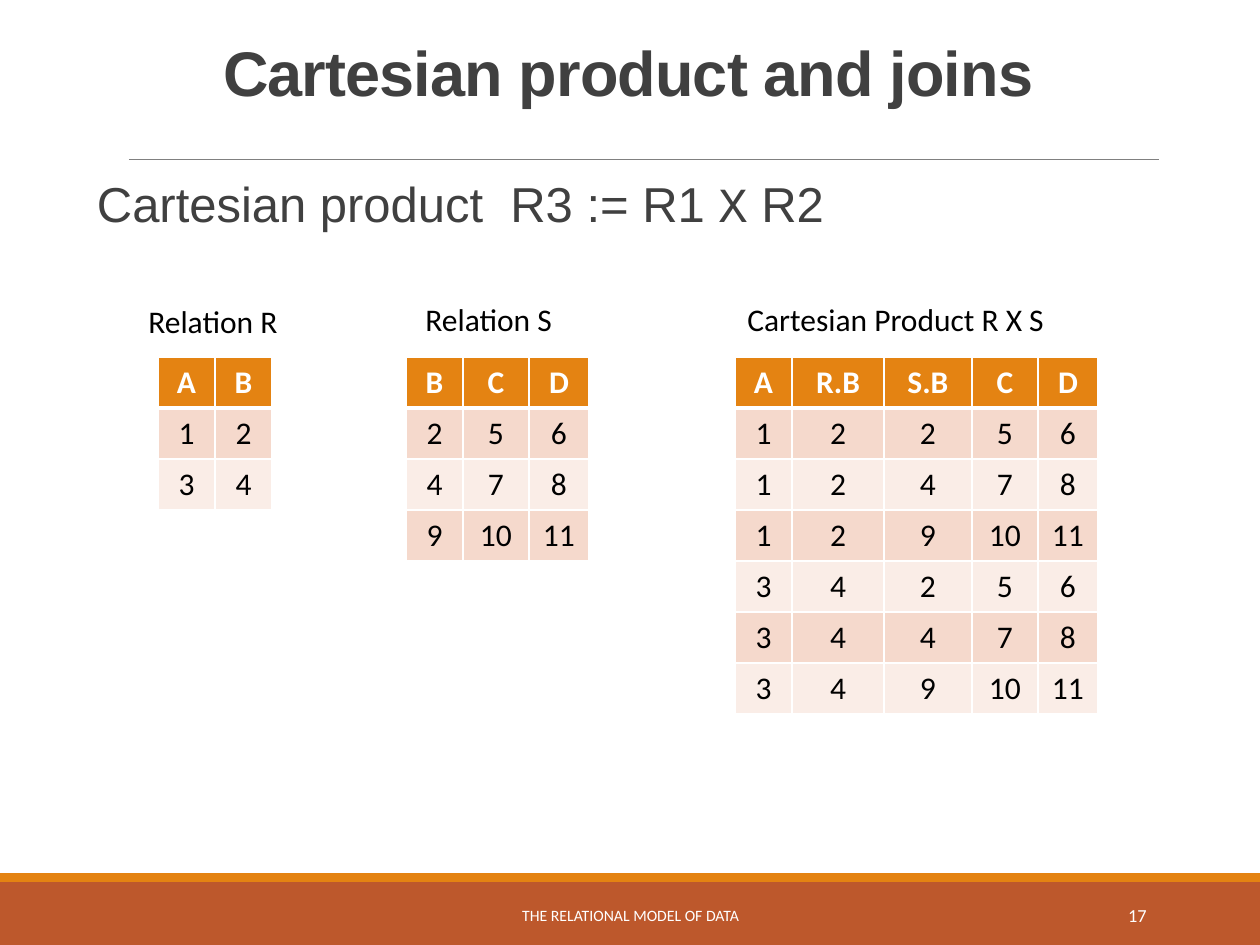
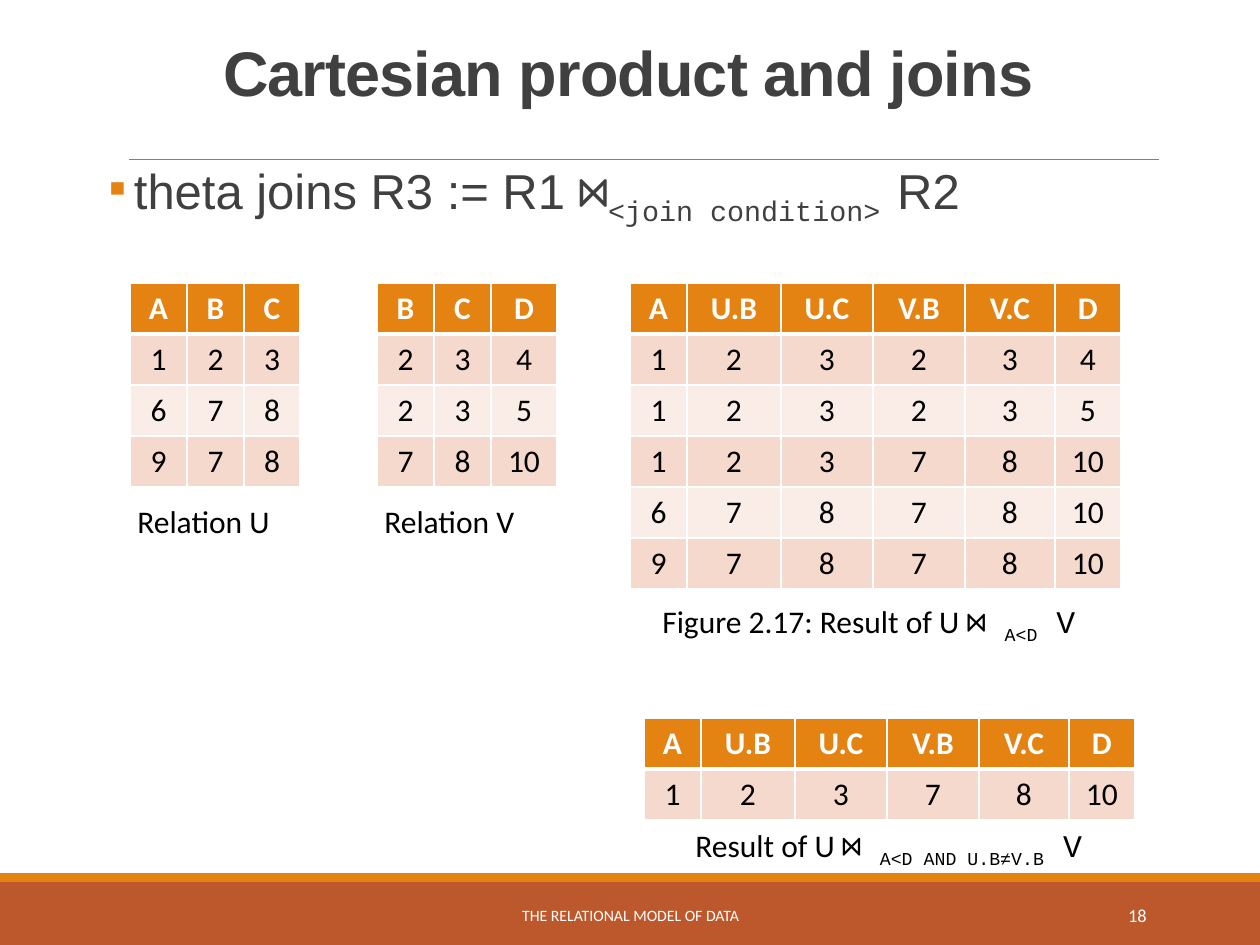
from lxml.etree import SubElement
from pptx import Presentation
from pptx.dml.color import RGBColor
from pptx.enum.shapes import MSO_CONNECTOR, MSO_SHAPE
from pptx.enum.text import MSO_ANCHOR, MSO_AUTO_SIZE, PP_ALIGN
from pptx.oxml.ns import qn
from pptx.util import Emu, Pt

SCALE = 914400 / 126
SLIDE_WIDTH, SLIDE_HEIGHT = 1260, 945
ROW_HEIGHT = 51

ORANGE, RUST, GRAY = "E48312", "BD582C", "808080"
DARK, BLACK, WHITE = "404040", "000000", "FFFFFF"
ROW_FILLS = ("F5D9CC", "FAEDE7")
SANS, BODY, MONO = "Arial", "Calibri", "Courier New"
SUBSCRIPT = -25000

TITLE = "Cartesian product and joins"
FOOTER = "THE RELATIONAL MODEL OF DATA"
JOIN_HEADER = "A U.B U.C V.B V.C D"
JOIN_COLUMNS = (57, 94, 92, 92, 90, 66)

SLIDES = [
    {
        "number": "17",
        "heading": {
            "box": (84, 179, 1094, 66),
            "runs": [("Cartesian product  R3 := R1 ", SANS), ("Χ", MONO), (" R2", SANS)],
            "spacing": (0.8, 12, 2),
            "indent": (13, 0),
            "bullet": None,
        },
        "tables": [
            ((158, 357), (57, 57), ["A B", "1 2", "3 4"]),
            ((406, 357), (57, 66, 60), ["B C D", "2 5 6", "4 7 8", "9 10 11"]),
            ((735, 357), (57, 92, 88, 66, 60),
             ["A R.B S.B C D", "1 2 2 5 6", "1 2 4 7 8", "1 2 9 10 11",
              "3 4 2 5 6", "3 4 4 7 8", "3 4 9 10 11"]),
        ],
        "captions": [
            ((136, 296, 175, 51), [("Relation R", BODY)]),
            ((413, 294, 170, 51), [("Relation S", BODY)]),
            ((735, 294, 364, 51), [("Cartesian Product R X S", BODY)]),
        ],
    },
    {
        "number": "18",
        "heading": {
            "box": (81, 155, 1094, 135),
            "runs": [("theta joins R3 := R1 ", SANS), ("⋈", MONO),
                     ("<join condition> ", MONO, SUBSCRIPT), ("R2", SANS)],
            "spacing": (0.9, 2, 4),
            "indent": (53, -25),
            "bullet": "▪",
        },
        "tables": [
            ((130, 283), (57, 57, 56), ["A B C", "1 2 3", "6 7 8", "9 7 8"]),
            ((377, 283), (57, 57, 66), ["B C D", "2 3 4", "2 3 5", "7 8 10"]),
            ((630, 283), JOIN_COLUMNS,
             [JOIN_HEADER, "1 2 3 2 3 4", "1 2 3 2 3 5", "1 2 3 7 8 10",
              "6 7 8 7 8 10", "9 7 8 7 8 10"]),
            ((644, 718), JOIN_COLUMNS, [JOIN_HEADER, "1 2 3 7 8 10"]),
        ],
        "captions": [
            ((125, 496, 176, 51), [("Relation U", BODY)]),
            ((372, 496, 174, 51), [("Relation V", BODY)]),
            ((650, 596, 451, 51),
             [("Figure 2.17: Result of U ", BODY), ("⋈ ", MONO),
              ("A<D", MONO, SUBSCRIPT), (" V", MONO)]),
            ((683, 820, 432, 51),
             [("Result of U ", BODY), ("⋈ ", MONO),
              ("A<D AND U.B≠V.B", MONO, SUBSCRIPT), (" V", MONO)]),
        ],
    },
]


def px(length):
    return Emu(round(length * SCALE))


def color(value):
    return RGBColor.from_string(value)


def format_run(run, font, size, text_color, bold=False):
    run.font.name = font
    run.font.size = Pt(size)
    run.font.bold = bold
    run.font.color.rgb = color(text_color)


def add_text(slide, box, runs, size, text_color, align=PP_ALIGN.LEFT, bold=False):
    shape = slide.shapes.add_textbox(*map(px, box))
    shape.text_frame.word_wrap = True
    paragraph = shape.text_frame.paragraphs[0]
    paragraph.alignment = align
    for text, font, *baseline in runs:
        run = paragraph.add_run()
        run.text = text
        format_run(run, font, size, text_color, bold)
        if baseline:
            run.font._element.set("baseline", str(baseline[0]))
    return shape


def add_band(slide, top, height, fill):
    band = slide.shapes.add_shape(
        MSO_SHAPE.RECTANGLE, 0, px(top), px(SLIDE_WIDTH), px(height))
    band.shadow.inherit = False
    band.fill.solid()
    band.fill.fore_color.rgb = color(fill)
    band.line.fill.background()


def add_frame(slide, number):
    add_band(slide, 882, 63, RUST)
    add_band(slide, 873, 9, ORANGE)
    rule = slide.shapes.add_connector(
        MSO_CONNECTOR.STRAIGHT, px(129), px(159), px(1159), px(159))
    rule.line.color.rgb = color(GRAY)
    rule.line.width = Pt(0.5)
    SubElement(rule._element.spPr, qn("a:effectLst"))

    title = add_text(slide, (81, 39, 1094, 116), [(TITLE, SANS)], 36, DARK,
                     PP_ALIGN.CENTER, True)
    paragraph = title.text_frame.paragraphs[0]
    paragraph.line_spacing = 0.85
    paragraph.runs[0].font._element.set("spc", "-50")

    for box, text, size, align in (
        ((381, 890, 499, 50), FOOTER, 9, PP_ALIGN.CENTER),
        ((1023, 890, 136, 50), number, 10.5, PP_ALIGN.RIGHT),
    ):
        shape = add_text(slide, box, [(text, BODY)], size, WHITE, align)
        shape.text_frame.vertical_anchor = MSO_ANCHOR.MIDDLE


def add_heading(slide, box, runs, spacing, indent, bullet):
    shape = add_text(slide, box, runs, 28, DARK)
    shape.text_frame.margin_left = shape.text_frame.margin_right = 0
    paragraph = shape.text_frame.paragraphs[0]
    line_spacing, before, after = spacing
    paragraph.line_spacing = line_spacing
    paragraph.space_before = Pt(before)
    paragraph.space_after = Pt(after)
    properties = paragraph._p.get_or_add_pPr()
    for name, length in zip(("marL", "indent"), indent):
        properties.set(name, str(px(length)))
    if bullet:
        bullet_color = SubElement(properties, qn("a:buClr"))
        SubElement(bullet_color, qn("a:srgbClr"), val=ORANGE)
        SubElement(properties, qn("a:buFont"), typeface=BODY)
        SubElement(properties, qn("a:buChar"), char=bullet)


def set_borders(cell, row_index):
    properties = cell._tc.get_or_add_tcPr()
    widths = {"lnL": 1, "lnR": 1, "lnT": 3 if row_index == 1 else 1,
              "lnB": 3 if row_index == 0 else 1}
    for name, width in widths.items():
        border = SubElement(properties, qn(f"a:{name}"), w=str(Pt(width)))
        fill = SubElement(border, qn("a:solidFill"))
        SubElement(fill, qn("a:srgbClr"), val=WHITE)


def add_relation(slide, position, widths, lines):
    rows = [line.split() for line in lines]
    left, top = position
    table = slide.shapes.add_table(
        len(rows), len(widths), px(left), px(top),
        px(sum(widths)), px(ROW_HEIGHT * len(rows))).table
    table.horz_banding = False
    for column, width in zip(table.columns, widths):
        column.width = px(width)
    for row_index, row in enumerate(rows):
        header = row_index == 0
        table.rows[row_index].height = px(ROW_HEIGHT)
        for column_index, value in enumerate(row):
            cell = table.cell(row_index, column_index)
            set_borders(cell, row_index)
            cell.fill.solid()
            cell.fill.fore_color.rgb = color(
                ORANGE if header else ROW_FILLS[(row_index - 1) % 2])
            cell.text_frame.text = value
            paragraph = cell.text_frame.paragraphs[0]
            paragraph.alignment = PP_ALIGN.CENTER
            format_run(paragraph.runs[0], BODY, 18, WHITE if header else BLACK, header)


def add_caption(slide, box, runs):
    shape = add_text(slide, box, runs, 18, BLACK)
    shape.text_frame.word_wrap = False
    shape.text_frame.auto_size = MSO_AUTO_SIZE.SHAPE_TO_FIT_TEXT


def main():
    presentation = Presentation()
    presentation.slide_width = px(SLIDE_WIDTH)
    presentation.slide_height = px(SLIDE_HEIGHT)
    for content in SLIDES:
        slide = presentation.slides.add_slide(presentation.slide_layouts[6])
        add_frame(slide, content["number"])
        add_heading(slide, **content["heading"])
        for relation in content["tables"]:
            add_relation(slide, *relation)
        for caption in content["captions"]:
            add_caption(slide, *caption)
    presentation.save("out.pptx")


if __name__ == "__main__":
    main()
